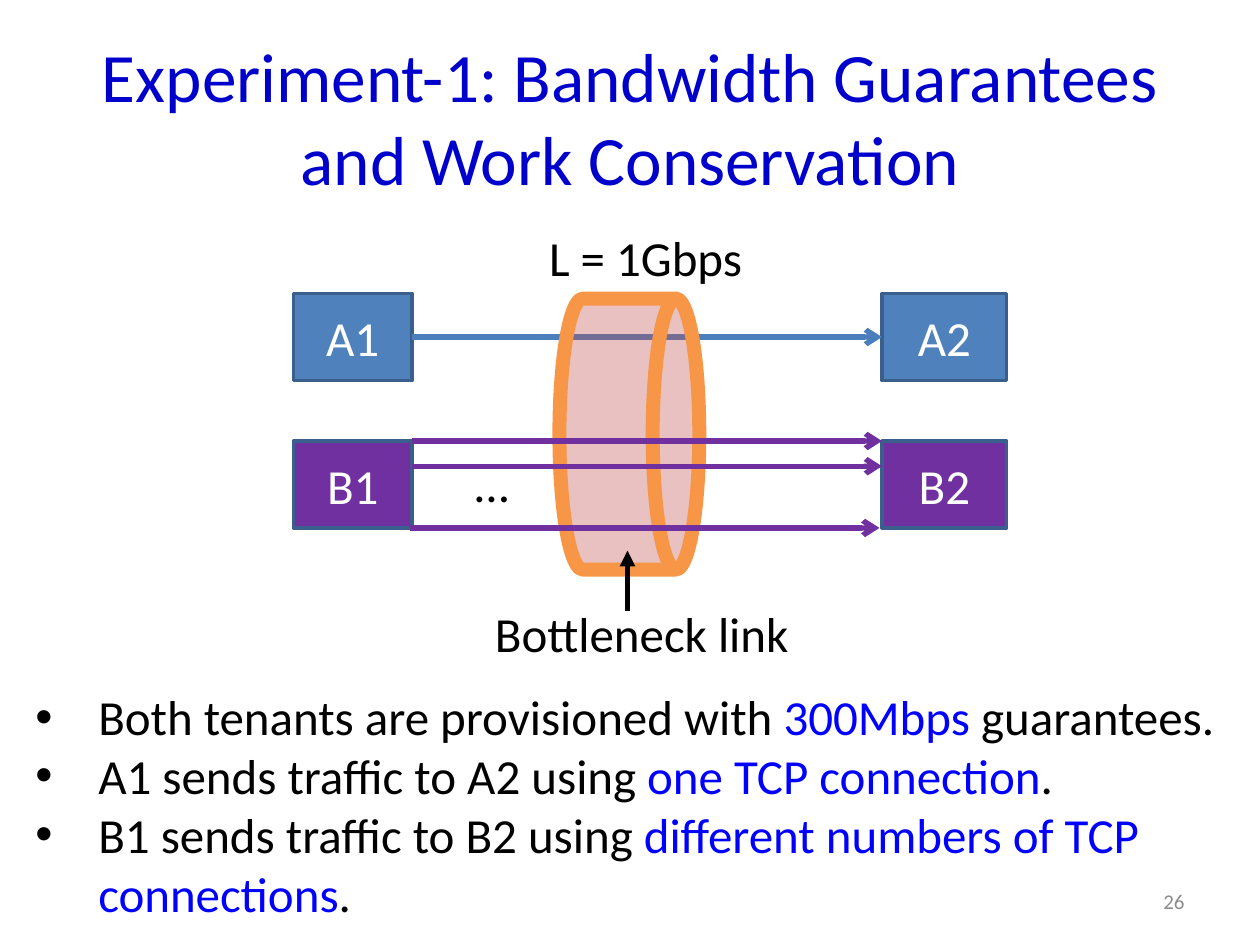
import dataclasses
import typing

import lxml.etree
import pptx
import pptx.dml.color
import pptx.enum.shapes
import pptx.enum.text
import pptx.oxml.ns
import pptx.util

EMU_PER_PX = 9144
ALIGN = pptx.enum.text.PP_ALIGN
ANCHOR = pptx.enum.text.MSO_ANCHOR
FIT = pptx.enum.text.MSO_AUTO_SIZE
SHAPE = pptx.enum.shapes.MSO_SHAPE
RIGHT_SIDE, LEFT_SIDE = 3, 1


@dataclasses.dataclass(frozen=True)
class Theme:
    font: str = "Calibri"
    title_size: float = 39.6
    body_size: int = 28
    number_size: int = 12
    title: str = "0000CC"
    text: str = "000000"
    emphasis: str = "0000FF"
    number: str = "8C8C8C"
    host_text: str = "FFFFFF"
    host_line: str = "3A5F8C"
    tenant_a: str = "4F81BD"
    flow_a: str = "4B7EBC"
    tenant_b: str = "7030A0"
    link_fill: str = "C0504D"
    link_line: str = "F79646"


class Box(typing.NamedTuple):
    left: int
    top: int
    width: int
    height: int


class Host(typing.NamedTuple):
    name: str
    box: Box
    color: str


class Flow(typing.NamedTuple):
    start: tuple[int, int]
    end: tuple[int, int]
    color: str
    head: str = "arrow"


class Label(typing.NamedTuple):
    text: str
    box: Box


class Bullet(typing.NamedTuple):
    lead: str
    emphasis: str
    rest: str


THEME = Theme()
LEFT_X, LEFT_W, RIGHT_X, RIGHT_W, HOST_H = 233, 94, 700, 99, 69
A_TOP, B_TOP = 233, 350
FLOW_X = LEFT_X + LEFT_W
A1 = Host("A1", Box(LEFT_X, A_TOP, LEFT_W, HOST_H), THEME.tenant_a)
A2 = Host("A2", Box(RIGHT_X, A_TOP, RIGHT_W, HOST_H), THEME.tenant_a)
B1 = Host("B1", Box(LEFT_X, B_TOP, LEFT_W, HOST_H), THEME.tenant_b)
B2 = Host("B2", Box(RIGHT_X, B_TOP, RIGHT_W, HOST_H), THEME.tenant_b)
A_FLOW = Flow((FLOW_X, 268), (RIGHT_X, 268), THEME.flow_a)
B_FLOWS = [
    Flow((FLOW_X + shift, y), (RIGHT_X + shift, y), THEME.tenant_b)
    for shift, y in ((0, B_TOP), (0, B_TOP + 20), (-2, B_TOP + HOST_H))
]
LINK_POINTER = Flow((498, 485), (498, 437), THEME.text, "triangle")
BOTTLENECK = Box(444, 237, 111, 215)
LABELS = [
    Label("L = 1Gbps", Box(426, 176, 176, 57)),
    Label("Bottleneck link", Box(383, 474, 256, 57)),
    Label("…", Box(367, 355, 47, 57)),
]
BULLETS = [
    Bullet("Both tenants are provisioned with ", "300Mbps", " guarantees."),
    Bullet("A1 sends traffic to A2 using ", "one TCP connection", "."),
    Bullet("B1 sends traffic to B2 using ", "different numbers of TCP connections", "."),
]


def px(length: int) -> int:
    return length * EMU_PER_PX


def rgb(color: str) -> pptx.dml.color.RGBColor:
    return pptx.dml.color.RGBColor.from_string(color)


def format_run(run, size: float, color: str) -> None:
    run.font.name = THEME.font
    run.font.size = pptx.util.Pt(size)
    run.font.color.rgb = rgb(color)


def write(frame, text: str, size: float, color: str, align=ALIGN.LEFT, anchor=ANCHOR.TOP) -> None:
    frame.text = text
    frame.vertical_anchor = anchor
    frame.paragraphs[0].alignment = align
    format_run(frame.paragraphs[0].runs[0], size, color)


def move(shape, box: Box) -> None:
    shape.left, shape.top, shape.width, shape.height = map(px, box)


def draw_shape(slide, kind, box: Box, fill: str, line: str, weight: int):
    shape = slide.shapes.add_shape(kind, *map(px, box))
    shape.shadow.inherit = False
    shape.fill.solid()
    shape.fill.fore_color.rgb = rgb(fill)
    shape.line.color.rgb = rgb(line)
    shape.line.width = pptx.util.Pt(weight)
    return shape


def draw_host(slide, host: Host):
    shape = draw_shape(slide, SHAPE.RECTANGLE, host.box, host.color, THEME.host_line, 2)
    write(shape.text_frame, host.name, THEME.body_size, THEME.host_text, ALIGN.CENTER, ANCHOR.MIDDLE)
    return shape


def draw_bottleneck(slide) -> None:
    drum = draw_shape(
        slide, SHAPE.FLOWCHART_DIRECT_ACCESS_STORAGE, BOTTLENECK, THEME.link_fill, THEME.link_line, 8
    )
    fill_color = drum.element.spPr.find(pptx.oxml.ns.qn("a:solidFill"))[0]
    lxml.etree.SubElement(fill_color, pptx.oxml.ns.qn("a:alpha"), val="35000")


def draw_flow(slide, flow: Flow):
    arrow = slide.shapes.add_connector(
        pptx.enum.shapes.MSO_CONNECTOR.STRAIGHT, *map(px, flow.start + flow.end)
    )
    arrow.line.color.rgb = rgb(flow.color)
    arrow.line.width = pptx.util.Pt(3)
    properties = arrow.element.spPr
    outline = properties.find(pptx.oxml.ns.qn("a:ln"))
    lxml.etree.SubElement(outline, pptx.oxml.ns.qn("a:tailEnd"), type=flow.head)
    lxml.etree.SubElement(properties, pptx.oxml.ns.qn("a:effectLst"))
    return arrow


def draw_label(slide, label: Label) -> None:
    frame = slide.shapes.add_textbox(*map(px, label.box)).text_frame
    frame.word_wrap = False
    frame.auto_size = FIT.SHAPE_TO_FIT_TEXT
    write(frame, label.text, THEME.body_size, THEME.text)


def fill_title(title) -> None:
    move(title, Box(50, 30, 900, 125))
    title.text_frame.auto_size = FIT.NONE
    write(
        title.text_frame, "Experiment-1: Bandwidth Guarantees and Work Conservation",
        THEME.title_size, THEME.title, ALIGN.CENTER, ANCHOR.MIDDLE,
    )


def fill_findings(body) -> None:
    move(body, Box(18, 540, 961, 199))
    frame = body.text_frame
    frame.text = "\n".join("".join(bullet) for bullet in BULLETS)
    frame.auto_size = FIT.NONE
    for paragraph, bullet in zip(frame.paragraphs, BULLETS):
        paragraph.text = bullet.lead
        for part in bullet[1:]:
            paragraph.add_run().text = part
        for run, color in zip(paragraph.runs, (THEME.text, THEME.emphasis, THEME.text)):
            format_run(run, THEME.body_size, color)
        paragraph.space_before = pptx.util.Pt(0)
        indents = paragraph._p.get_or_add_pPr()
        indents.set("marL", str(px(50)))
        indents.set("indent", str(px(-50)))


def draw_page_number(slide) -> None:
    frame = slide.shapes.add_textbox(*map(px, Box(717, 695, 233, 40))).text_frame
    frame.word_wrap = True
    write(frame, "26", THEME.number_size, THEME.number, ALIGN.RIGHT, ANCHOR.MIDDLE)


def main() -> None:
    deck = pptx.Presentation()
    deck.slide_width, deck.slide_height = px(1000), px(750)
    slide = deck.slides.add_slide(deck.slide_layouts[1])
    fill_title(slide.shapes.title)
    fill_findings(slide.placeholders[1])
    draw_page_number(slide)
    sender, receiver = draw_host(slide, A1), draw_host(slide, A2)
    tenant_flow = draw_flow(slide, A_FLOW)
    tenant_flow.begin_connect(sender, RIGHT_SIDE)
    tenant_flow.end_connect(receiver, LEFT_SIDE)
    draw_bottleneck(slide)
    for host in (B1, B2):
        draw_host(slide, host)
    for flow in (*B_FLOWS, LINK_POINTER):
        draw_flow(slide, flow)
    for label in LABELS:
        draw_label(slide, label)
    deck.save("out.pptx")


if __name__ == "__main__":
    main()
